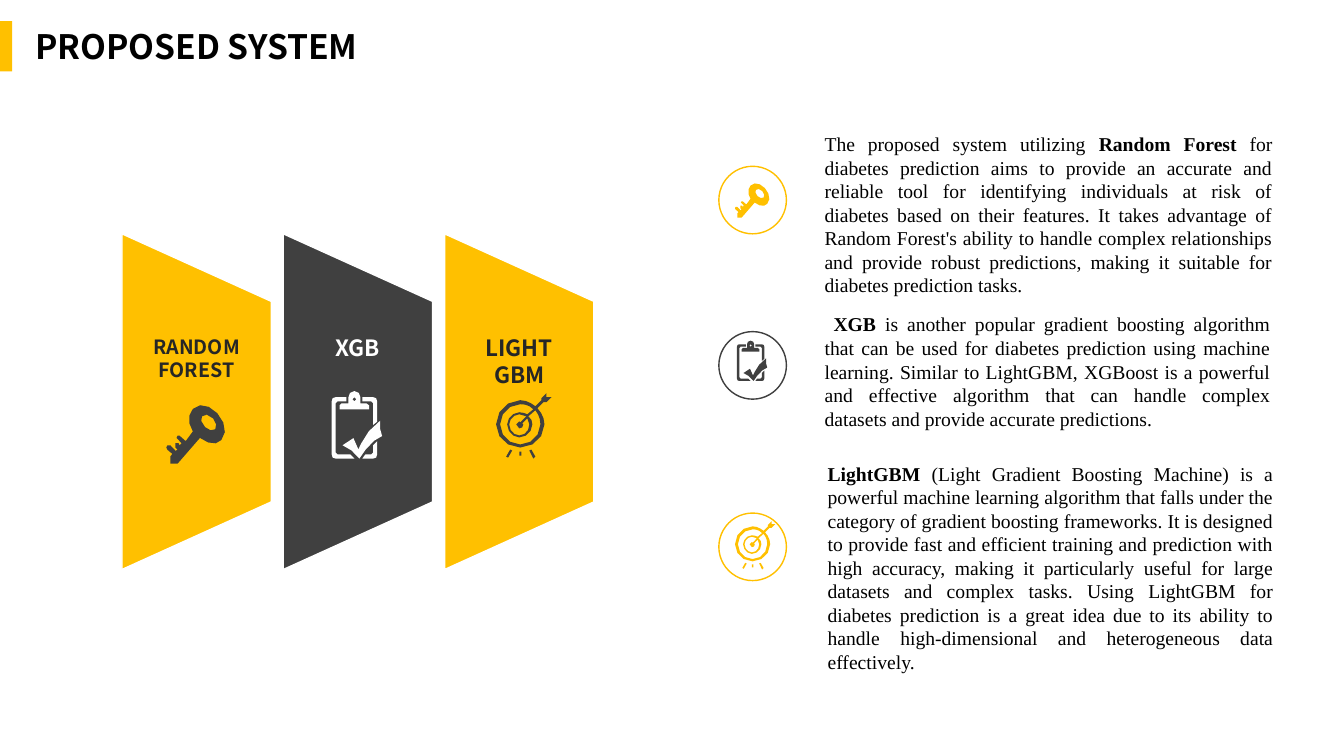
from dataclasses import dataclass
from math import dist

from pptx import Presentation
from pptx.dml.color import RGBColor as Rgb
from pptx.enum.shapes import MSO_SHAPE as Preset
from pptx.enum.text import PP_ALIGN as Align
from pptx.shapes.autoshape import Shape
from pptx.slide import Slide
from pptx.util import Inches, Pt

Point = tuple[float, float]
Frame = tuple[float, float, float, float]  # left, top, width, height in inches


@dataclass(frozen=True)
class Theme:
    amber: str = "FFC000"
    gray: str = "404040"
    label: str = "262626"
    white: str = "FFFFFF"
    black: str = "000000"
    heading_font: str = "Noto Sans CJK SC"
    body_font: str = "Times New Roman"
    title_size: int = 24
    large_label: int = 16
    small_label: int = 14
    body_size: int = 14


@dataclass(frozen=True)
class Span:
    text: str
    bold: bool = False


@dataclass(frozen=True)
class Panel:
    label: str
    size: int
    text_color: str
    fill: str
    icon: list[str]
    icon_color: str
    icon_frame: Frame
    label_height: float


@dataclass(frozen=True)
class Note:
    spans: list[Span]
    frame: Frame
    ring_top: float
    color: str
    icon: list[str]
    icon_frame: Frame


THEME = Theme()

# Icon outlines, one closed contour per string, in hundredths of an inch.
KEY = [
    "M 198 435 L 176 459 C 173 460 171 460 169 459 167 456 167 453 169 452 L 171 450 166 446 "
    "165 444 166 442 169 442 174 447 176 446 174 444 174 440 177 440 178 442 180 440 176 436 "
    "175 435 176 433 178 433 184 438 191 429 "
    "C 186 422 186 413 191 408 197 402 207 404 215 412 223 420 225 431 219 437 215 442 206 441 198 435",
    "M 211 417 C 207 413 202 412 200 415 198 417 199 421 203 425 206 428 211 429 213 427 "
    "215 425 214 420 211 417",
]
CLIPBOARD = [
    "M 380 432 C 373 433 361 447 357 454 L 349 446 340 441 351 434 356 445 "
    "C 356 445 365 424 378 417 L 378 425 380 432",
    "M 371 400 L 369 398 360 398 360 394 371 394 374 395 375 398 375 418 371 421",
    "M 364 400 L 367 402 367 406 337 406 337 402 339 400 346 400 346 394 "
    "C 346 391 348 388 352 388 356 388 358 391 358 394 L 358 400",
    "M 352 394 L 350 396 352 398 354 396",
    "M 333 400 L 333 448 335 450 348 450 352 454 333 454 330 453 329 450 329 398 330 395 333 394 "
    "344 394 344 398 335 398",
    "M 369 450 L 371 448 371 441 375 437 375 450 374 453 371 454 360 454 363 450",
]
TARGET = [
    "M 547 394 L 542 399 539 399 533 405 C 537 409 540 415 540 421 540 434 529 444 516 444 "
    "503 444 492 434 492 421 492 408 503 397 516 397 522 397 527 400 531 403 "
    "L 537 397 537 395 542 390 542 394",
    "M 531 407 L 524 413 C 527 415 528 418 528 421 528 428 522 434 515 434 509 434 503 428 503 421 "
    "503 415 509 409 515 409 518 409 521 410 523 411 L 529 406 C 525 402 521 401 516 401 "
    "505 401 496 410 496 421 496 432 505 441 516 441 527 441 536 432 536 421 536 415 534 411 531 407",
    "M 515 425 L 512 421 515 418 516 419 522 413 "
    "C 520 412 518 411 515 411 510 411 505 416 505 421 505 427 510 432 515 432 521 432 525 427 525 421 "
    "525 419 524 416 523 415 L 518 420 519 421 518 424",
    "M 506 446 L 508 447 504 454 502 453",
    "M 517 448 L 517 452 515 452 515 448",
    "M 531 453 L 529 455 525 447 527 446",
]

PANELS = [
    Panel("RANDOM FOREST", THEME.small_label, THEME.label, THEME.amber,
          KEY, THEME.gray, (1.65, 4.02, 0.58, 0.58), 0.57),
    Panel("XGB", THEME.large_label, THEME.white, THEME.gray,
          CLIPBOARD, THEME.white, (3.29, 3.88, 0.5, 0.67), 0.37),
    Panel("LIGHT GBM", THEME.large_label, THEME.label, THEME.amber,
          TARGET, THEME.gray, (4.92, 3.9, 0.55, 0.65), 0.64),
]
NOTES = [
    Note([Span("The proposed system utilizing "), Span("Random Forest", True),
          Span(" for diabetes prediction aims to provide an accurate and reliable tool for identifying "
               "individuals at risk of diabetes based on their features. It takes advantage of Random "
               "Forest's ability to handle complex relationships and provide robust predictions, making "
               "it suitable for diabetes prediction tasks.")],
         (8.08, 1.26, 4.64, 0.83), 1.65, THEME.amber, KEY, (7.29, 1.82, 0.34, 0.34)),
    Note([Span(" "), Span("XGB ", True),
          Span("is another popular gradient boosting algorithm that can be used for diabetes prediction "
               "using machine learning. Similar to LightGBM, XGBoost is a powerful and effective algorithm "
               "that can handle complex datasets and provide accurate predictions.")],
         (8.08, 3.05, 4.62, 1.64), 3.29, THEME.gray, CLIPBOARD, (7.31, 3.38, 0.3, 0.4)),
    Note([Span("LightGBM", True),
          Span(" (Light Gradient Boosting Machine) is a powerful machine learning algorithm that falls "
               "under the category of gradient boosting frameworks. It is designed to provide fast and "
               "efficient training and prediction with high accuracy, making it particularly useful for "
               "large datasets and complex tasks. Using LightGBM for diabetes prediction is a great idea "
               "due to its ability to handle high-dimensional and heterogeneous data effectively.")],
         (8.11, 4.53, 4.62, 2.23), 5.09, THEME.amber, TARGET, (7.29, 5.17, 0.4, 0.48)),
]


def paint(shape: Shape, fill: str | None = None, line: str | None = None) -> None:
    shape.shadow.inherit = False
    if fill:
        shape.fill.solid()
        shape.fill.fore_color.rgb = Rgb.from_string(fill)
    else:
        shape.fill.background()
    if line:
        shape.line.color.rgb = Rgb.from_string(line)
        shape.line.width = Pt(1)
    else:
        shape.line.fill.background()


def add_text(page: Slide, frame: Frame, spans: list[Span], font: str, size: int,
             color: str, align: Align = Align.LEFT) -> None:
    box = page.shapes.add_textbox(*map(Inches, frame))
    box.text_frame.word_wrap = True
    para = box.text_frame.paragraphs[0]
    para.alignment = align
    for span in spans:
        run = para.add_run()
        run.text = span.text
        run.font.name, run.font.size, run.font.bold = font, Pt(size), span.bold
        run.font.color.rgb = Rgb.from_string(color)


def flatten(contour: str) -> list[Point]:
    """Turn M, L and cubic C commands into points, with more steps on longer curves."""
    points: list[Point] = []
    command, numbers = "M", []
    for word in contour.split():
        if word.isalpha():
            command = word
            continue
        numbers.append(float(word))
        if len(numbers) < (6 if command == "C" else 2):
            continue
        if command == "C":
            corners = [points[-1], *zip(numbers[::2], numbers[1::2])]
            steps = max(1, min(3, round(dist(corners[0], corners[3]) / 5)))
            for step in range(1, steps + 1):
                t = step / steps
                weights = ((1 - t) ** 3, 3 * t * (1 - t) ** 2, 3 * t * t * (1 - t), t ** 3)
                points.append(tuple(sum(w * c[axis] for w, c in zip(weights, corners)) for axis in (0, 1)))
        else:
            points.append((numbers[0], numbers[1]))
        numbers = []
    return points


def add_outline(page: Slide, contours: list[list[Point]], fill: str, line: str | None = None) -> None:
    """Draw closed contours, given in inches, as one freeform."""
    scaled = [[(Inches(x), Inches(y)) for x, y in contour] for contour in contours]
    builder = page.shapes.build_freeform(*scaled[0][0])
    for index, contour in enumerate(scaled):
        if index:
            builder.move_to(*contour[0])
        builder.add_line_segments(contour[1:], close=True)
    paint(builder.convert_to_shape(), fill, line)


def add_icon(page: Slide, icon: list[str], frame: Frame, color: str) -> None:
    contours = [flatten(contour) for contour in icon]
    xs, ys = zip(*(point for contour in contours for point in contour))
    left, top, width, height = frame
    x_scale, y_scale = width / (max(xs) - min(xs)), height / (max(ys) - min(ys))
    add_outline(page, [[(left + (x - min(xs)) * x_scale, top + (y - min(ys)) * y_scale)
                        for x, y in contour] for contour in contours], color)


def add_panel(page: Slide, panel: Panel, left: float) -> None:
    right, top, bottom, slope = left + 1.48, 2.32, 5.65, 0.67
    add_outline(page, [[(left, bottom), (left, top), (right, top + slope), (right, bottom - slope)]],
                panel.fill, THEME.white)
    add_icon(page, panel.icon, panel.icon_frame, panel.icon_color)
    add_text(page, (left + 0.14, 3.27, 1.2, panel.label_height), [Span(panel.label, True)],
             THEME.heading_font, panel.size, panel.text_color, Align.CENTER)


def add_note(page: Slide, note: Note) -> None:
    ring = page.shapes.add_shape(Preset.OVAL, *map(Inches, (7.13, note.ring_top, 0.67, 0.67)))
    paint(ring, line=note.color)
    add_icon(page, note.icon, note.icon_frame, note.color)
    add_text(page, note.frame, note.spans, THEME.body_font, THEME.body_size, THEME.black, Align.JUSTIFY)


def main() -> None:
    deck = Presentation()
    deck.slide_width, deck.slide_height = Inches(13.33), Inches(7.5)
    page = deck.slides.add_slide(deck.slide_layouts[6])
    add_text(page, (0.25, 0.21, 4.38, 0.5), [Span("PROPOSED SYSTEM", True)],
             THEME.heading_font, THEME.title_size, THEME.black)
    marker = page.shapes.add_shape(Preset.RECTANGLE, *map(Inches, (0, 0.21, 0.12, 0.5)))
    paint(marker, THEME.amber)
    for index, panel in enumerate(PANELS):
        add_panel(page, panel, 1.21 + 1.6 * index)
    for note in NOTES:
        add_note(page, note)
    deck.save("out.pptx")


if __name__ == "__main__":
    main()
